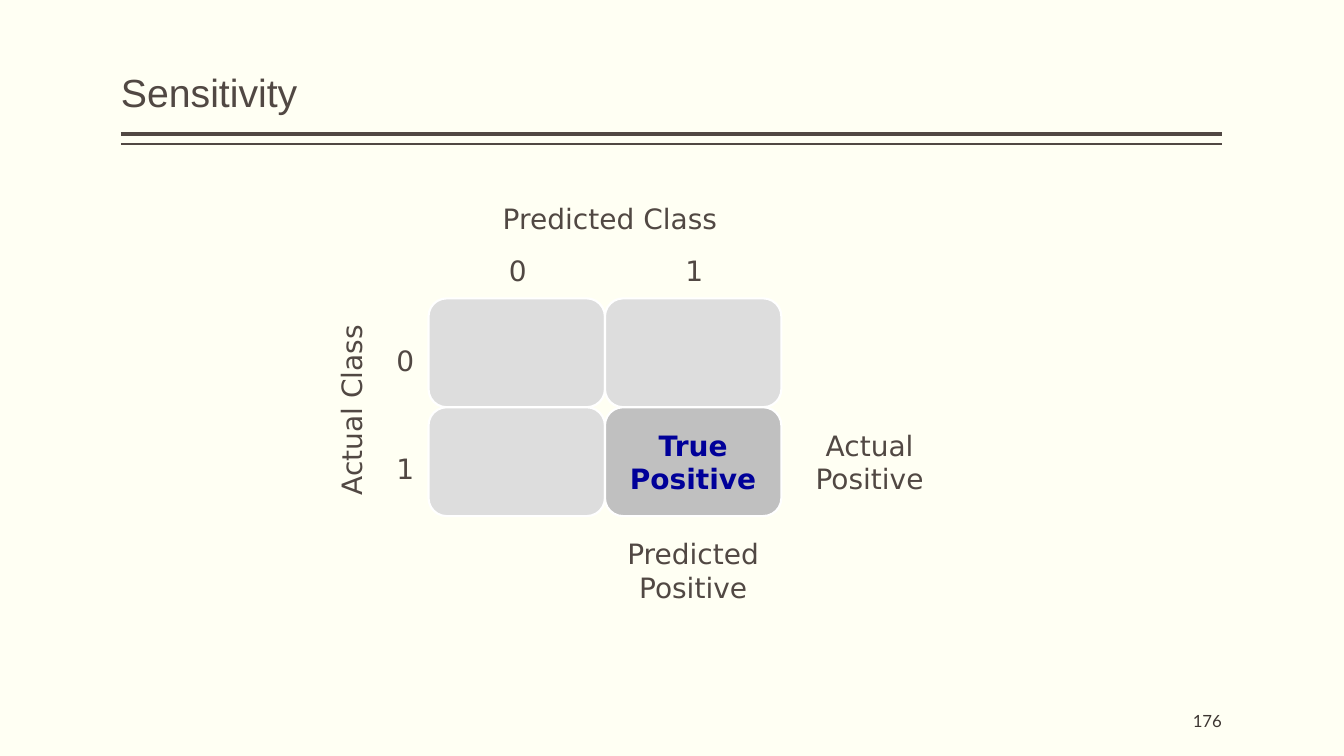
from dataclasses import dataclass

from lxml import etree
from pptx import Presentation
from pptx.dml.color import RGBColor
from pptx.enum.shapes import MSO_CONNECTOR, MSO_SHAPE
from pptx.enum.text import MSO_ANCHOR, PP_ALIGN
from pptx.oxml.ns import qn
from pptx.util import Inches, Pt

STRAIGHT = MSO_CONNECTOR.STRAIGHT
ROUNDED = MSO_SHAPE.ROUNDED_RECTANGLE
LEFT, CENTER, RIGHT = PP_ALIGN.LEFT, PP_ALIGN.CENTER, PP_ALIGN.RIGHT
MIDDLE, BOTTOM = MSO_ANCHOR.MIDDLE, MSO_ANCHOR.BOTTOM


@dataclass(frozen=True)
class Theme:
    background: str = "FFFFF3"
    ink: str = "514843"
    number_ink: str = "3D3632"
    cell: str = "DDDDDD"
    focus_cell: str = "C0C0C0"
    focus_ink: str = "000099"
    cell_border: str = "FFFFFF"
    title_font: str = "Arial"
    body_font: str = "DejaVu Sans"
    number_font: str = "Lato"
    title_size: int = 28
    body_size: int = 20
    number_size: int = 12


THEME = Theme()


def rgb(value):
    return RGBColor.from_string(value)


def write(shape, text, font=THEME.body_font, size=THEME.body_size, color=THEME.ink,
          bold=False, align=CENTER, anchor=MIDDLE, inset=0.1, wrap=False, spacing=1.0):
    frame = shape.text_frame
    frame.word_wrap = wrap
    frame.vertical_anchor = anchor
    frame.margin_left = frame.margin_right = Inches(inset)
    frame.margin_top = frame.margin_bottom = Inches(0.05)
    for index, line in enumerate(text.split("\n")):
        paragraph = frame.add_paragraph() if index else frame.paragraphs[0]
        paragraph.alignment = align
        paragraph.line_spacing = spacing
        run = paragraph.add_run()
        run.text = line
        run.font.name = font
        run.font.size = Pt(size)
        run.font.bold = bold
        run.font.color.rgb = rgb(color)


def add_label(slide, box, text, rotation=0, **text_format):
    label = slide.shapes.add_textbox(*map(Inches, box))
    label.rotation = rotation
    write(label, text, **text_format)


def add_centered_label(slide, center_x, center_y, width, text, rotation=0):
    height = 0.44
    box = (center_x - width / 2, center_y - height / 2, width, height)
    add_label(slide, box, text, rotation)


def add_rule(slide, left, right, y, weight):
    rule = slide.shapes.add_connector(
        STRAIGHT, Inches(left), Inches(y), Inches(right), Inches(y))
    rule.line.color.rgb = rgb(THEME.ink)
    rule.line.width = Pt(weight)
    etree.SubElement(rule._element.spPr, qn("a:effectLst"))


def add_header(slide, box, title):
    left, top, width, height = box
    add_label(slide, (left, top, 8.62, height), title, font=THEME.title_font,
              size=THEME.title_size, align=LEFT, anchor=BOTTOM,
              inset=0, wrap=True, spacing=0.9)
    for gap, weight in ((0.13, 3), (0.23, 1)):
        add_rule(slide, left, left + width, top + height + gap, weight)


def add_page_number(slide, box, number):
    add_label(slide, box, number, font=THEME.number_font, size=THEME.number_size,
              color=THEME.number_ink, align=RIGHT, inset=0, wrap=True)


def add_confusion_matrix(slide, box, classes):
    left, top, width, height = box
    cell_width, cell_height = width / len(classes), height / len(classes)

    def cell_box(column, row):
        return (left + column * cell_width, top + row * cell_height,
                cell_width, cell_height)

    for row in range(len(classes)):
        for column in range(len(classes)):
            cell = slide.shapes.add_shape(ROUNDED, *map(Inches, cell_box(column, row)))
            cell.shadow.inherit = False
            cell.adjustments[0] = 0.167
            is_focus = row == column == 1
            cell.fill.solid()
            cell.fill.fore_color.rgb = rgb(THEME.focus_cell if is_focus else THEME.cell)
            cell.line.color.rgb = rgb(THEME.cell_border)
            cell.line.width = Pt(1.5)
            if is_focus:
                write(cell, "True\nPositive", color=THEME.focus_ink, bold=True)

    add_label(slide, cell_box(1, 2), "Predicted\nPositive")
    add_label(slide, cell_box(2, 1), "Actual\nPositive")

    add_centered_label(slide, left + width / 2 + 0.05, top - 0.79, 2.34, "Predicted Class")
    add_centered_label(slide, left - 0.77, top + height / 2 + 0.03, 1.9,
                       "Actual Class", rotation=270)
    for index, name in enumerate(classes):
        middle = index + 0.5
        add_centered_label(slide, left - 0.23, top + middle * cell_height + 0.07, 0.38, name)
        add_centered_label(slide, left + middle * cell_width + 0.01, top - 0.28, 0.38, name)


def main():
    deck = Presentation()
    deck.slide_width, deck.slide_height = Inches(13.33), Inches(7.5)
    slide = deck.slides.add_slide(deck.slide_layouts[6])
    slide.background.fill.solid()
    slide.background.fill.fore_color.rgb = rgb(THEME.background)
    add_header(slide, (1.2, 0.2, 10.92, 1), "Sensitivity")
    add_page_number(slide, (10.12, 6.95, 2, 0.4), "176")
    add_confusion_matrix(slide, (4.25, 2.96, 3.5, 2.16), ("0", "1"))
    deck.save("out.pptx")


if __name__ == "__main__":
    main()
